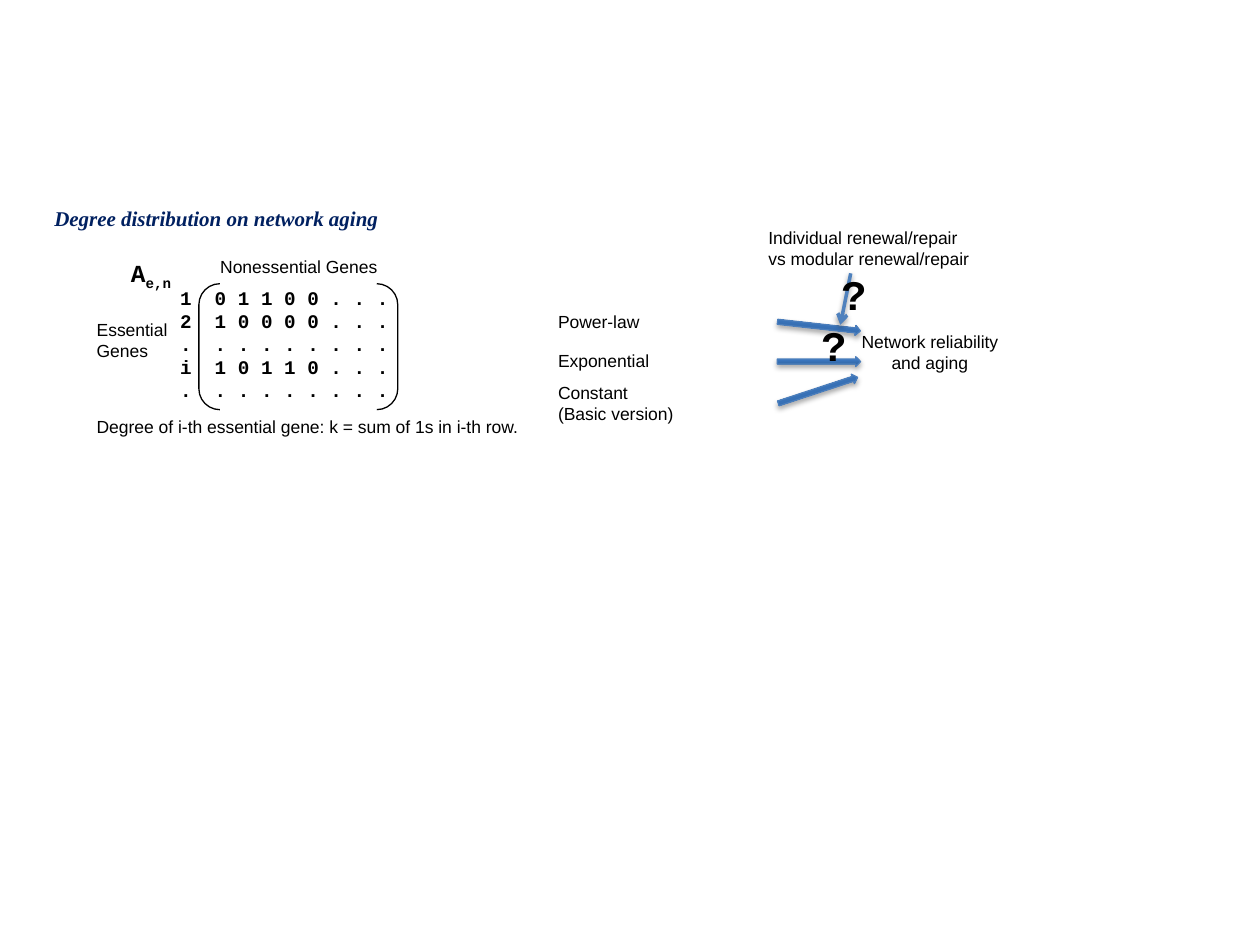
import copy

import pptx
import pptx.dml.color
import pptx.enum.dml
import pptx.enum.shapes
import pptx.enum.text
import pptx.oxml
import pptx.oxml.ns
import pptx.util
from pptx.util import Cm, Pt

RGBColor = pptx.dml.color.RGBColor
BLACK = RGBColor(0x00, 0x00, 0x00)
NAVY = RGBColor(0x00, 0x20, 0x60)
ARROW_EDGE = RGBColor(0x4B, 0x7E, 0xBC)
LINK_BLUE = RGBColor(0x4F, 0x81, 0xBD)
ARROW_STOPS = [
    (0, RGBColor(0x2F, 0x5F, 0x99)),
    (0.8, RGBColor(0x3D, 0x7C, 0xC7)),
    (1, RGBColor(0x3A, 0x7C, 0xCB)),
]

Align = pptx.enum.text.PP_ALIGN
Shape = pptx.enum.shapes.MSO_SHAPE
qn = pptx.oxml.ns.qn
SHADOW = (
    '<a:effectLst xmlns:a="http://schemas.openxmlformats.org/drawingml/2006/main">'
    '<a:outerShdw blurRad="{blur}" dist="{distance}" dir="5400000" rotWithShape="0">'
    '<a:srgbClr val="000000"><a:alpha val="{alpha}"/></a:srgbClr>'
    "</a:outerShdw></a:effectLst>"
)


class SlideWriter:
    """Holds the text styles and the slide being filled."""

    styles = {
        "title": {"name": "Times New Roman", "size": Pt(12), "bold": True, "italic": True},
        "label": {"name": "Arial", "size": Pt(10)},
        "matrix": {"name": "Courier New", "size": Pt(11), "bold": True},
        "symbol": {"name": "Courier New", "size": Pt(14), "bold": True},
        "question": {"name": "Courier New", "size": Pt(24), "bold": True},
    }

    def __init__(self, page):
        self.page = page

    def format_span(self, span, style, color=BLACK):
        for name, value in self.styles[style].items():
            setattr(span.font, name, value)
        span.font.color.rgb = color

    def title(self, text, left, top, width, height):
        box = self.page.shapes.title
        place = {"left": left, "top": top, "width": width, "height": height}
        for name, value in place.items():
            setattr(box, name, Cm(value))
        frame = box.text_frame
        frame.vertical_anchor = pptx.enum.text.MSO_ANCHOR.TOP
        frame.auto_size = pptx.enum.text.MSO_AUTO_SIZE.SHAPE_TO_FIT_TEXT
        frame.paragraphs[0].alignment = Align.LEFT
        span = frame.paragraphs[0].add_run()
        span.text = text
        self.format_span(span, "title", NAVY)

    def text(self, lines, left, top, width, height, style="label",
             align=Align.LEFT, wrap=True, tab=None):
        box = self.page.shapes.add_textbox(Cm(left), Cm(top), Cm(width), Cm(height))
        frame = box.text_frame
        frame.word_wrap = wrap
        frame.auto_size = pptx.enum.text.MSO_AUTO_SIZE.SHAPE_TO_FIT_TEXT
        for index, line in enumerate(lines):
            para = frame.add_paragraph() if index else frame.paragraphs[0]
            para.alignment = align
            if tab:
                self.tab_stop(para, tab)
            span = para.add_run()
            span.text = line
            self.format_span(span, style)
        return box

    def tab_stop(self, para, position):
        stops = pptx.oxml.ns.qn("a:tabLst")
        tabs = para._p.get_or_add_pPr().makeelement(stops, {})
        para._p.get_or_add_pPr().append(tabs)
        tabs.append(tabs.makeelement(qn("a:tab"), {"pos": str(Cm(position)), "algn": "l"}))

    def subscript(self, box, text, style):
        span = box.text_frame.paragraphs[0].add_run()
        span.text = text
        self.format_span(span, style)
        span._r.get_or_add_rPr().set("baseline", "-25000")

    def brackets(self, left, top, width, height):
        pair = self.page.shapes.add_shape(
            Shape.DOUBLE_BRACKET, Cm(left), Cm(top), Cm(width), Cm(height))
        pair.shadow.inherit = False
        pair.fill.background()
        pair.line.color.rgb = BLACK
        pair.line.width = Pt(0.75)

    def block_arrow(self, left, top, rotation):
        arrow = self.page.shapes.add_shape(
            Shape.RIGHT_ARROW, Cm(left), Cm(top), Cm(1.68), Cm(0.2))
        arrow.rotation = rotation
        arrow.fill.gradient()
        arrow.fill.gradient_angle = 90
        properties = arrow._element.spPr
        stop_list = properties.find(".//" + qn("a:gsLst"))
        stop_list.append(copy.deepcopy(stop_list[0]))
        for stop, (position, color) in zip(arrow.fill.gradient_stops, ARROW_STOPS):
            stop.position = position
            stop.color.rgb = color
        arrow.line.color.rgb = ARROW_EDGE
        arrow.line.width = Pt(0.75)
        self.drop_shadow(arrow, Pt(1.8), 35000)

    def thin_arrow(self, start, end):
        link = self.page.shapes.add_connector(
            pptx.enum.shapes.MSO_CONNECTOR.STRAIGHT, *map(Cm, start + end))
        link.line.color.rgb = LINK_BLUE
        link.line.width = Pt(2)
        outline = link.line._get_or_add_ln()
        outline.append(outline.makeelement(qn("a:tailEnd"), {"type": "arrow"}))
        self.drop_shadow(link, Pt(1.6), 38000)

    def drop_shadow(self, shape, distance, alpha):
        effect = SHADOW.format(blur=Pt(3.1), distance=distance, alpha=alpha)
        shape._element.spPr.append(pptx.oxml.parse_xml(effect))


def draw_matrix(writer):
    writer.brackets(4.01, 5.72, 4.01, 2.54)
    writer.text(["Nonessential Genes"], 4.19, 5.03, 3.84, 0.69)
    rows = [
        "1\t0 1 1 0 0 . . .",
        "2\t1 0 0 0 0 . . .",
        ".\t. . . . . . . .",
        "i\t1 0 1 1 0 . . .",
        ".\t. . . . . . . .",
    ]
    writer.text(rows, 3.38, 5.64, 5.28, 2.62, style="matrix", tab=0.7)
    writer.text(["Essential Genes"], 1.7, 6.3, 2.34, 1.12)
    symbol = writer.text(["A"], 2.39, 5.08, 1.42, 0.86, style="symbol", wrap=False)
    writer.subscript(symbol, "e,n", "symbol")
    writer.text(["Degree of i-th essential gene: k = sum of 1s in i-th row."],
                1.7, 8.26, 9.32, 0.69)


def draw_aging_model(writer):
    writer.text(["Exponential"], 11, 6.93, 2.54, 0.69)
    writer.text(["Power-law"], 11, 6.15, 2.54, 0.69)
    writer.text(["Constant", "(Basic version)"], 11, 7.57, 2.97, 1.12)
    writer.text(["Network reliability", "and aging"], 16.94, 6.55, 3.61, 1.12,
                align=Align.CENTER)
    writer.text(["Individual renewal/repair", "vs modular renewal/repair"],
                15.24, 4.45, 4.88, 1.12)
    for left, top, rotation in [(15.67, 6.48, 6.3), (15.67, 7.19, 0), (15.65, 7.77, 341.8)]:
        writer.block_arrow(left, top, rotation)
    writer.thin_arrow((17.15, 5.51), (16.94, 6.55))
    for left, top in [(16.31, 6.32), (16.71, 5.28)]:
        writer.text(["?"], left, top, 1.02, 1.27, style="question", wrap=False)


def main():
    deck = pptx.Presentation()
    deck.slide_width = Cm(25.4)
    deck.slide_height = Cm(19.05)
    title_only = deck.slide_layouts[5]
    writer = SlideWriter(deck.slides.add_slide(title_only))
    writer.title("Degree distribution on network aging", 0.84, 4.01, 7.19, 0.76)
    draw_matrix(writer)
    draw_aging_model(writer)
    deck.save("out.pptx")


if __name__ == "__main__":
    main()
